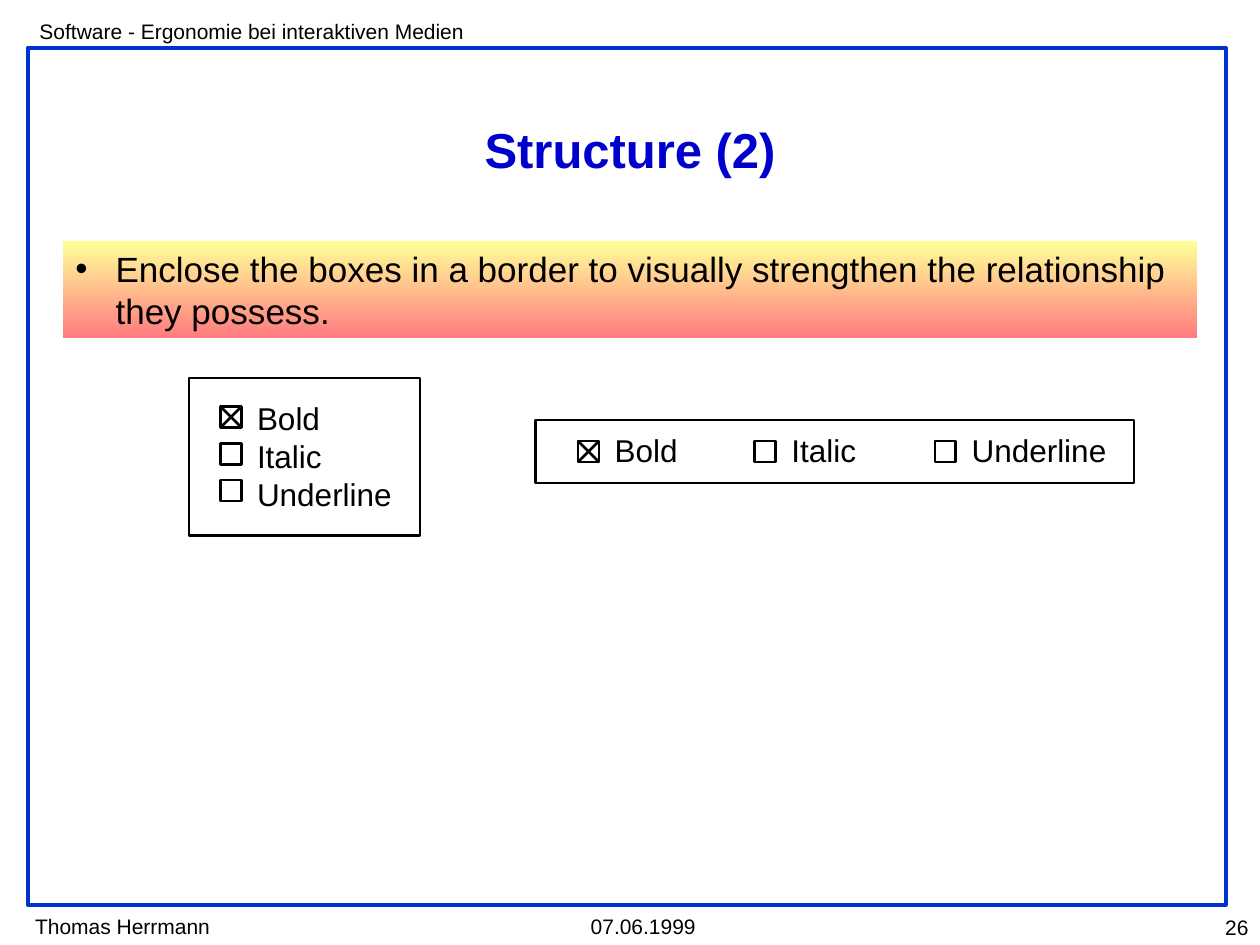
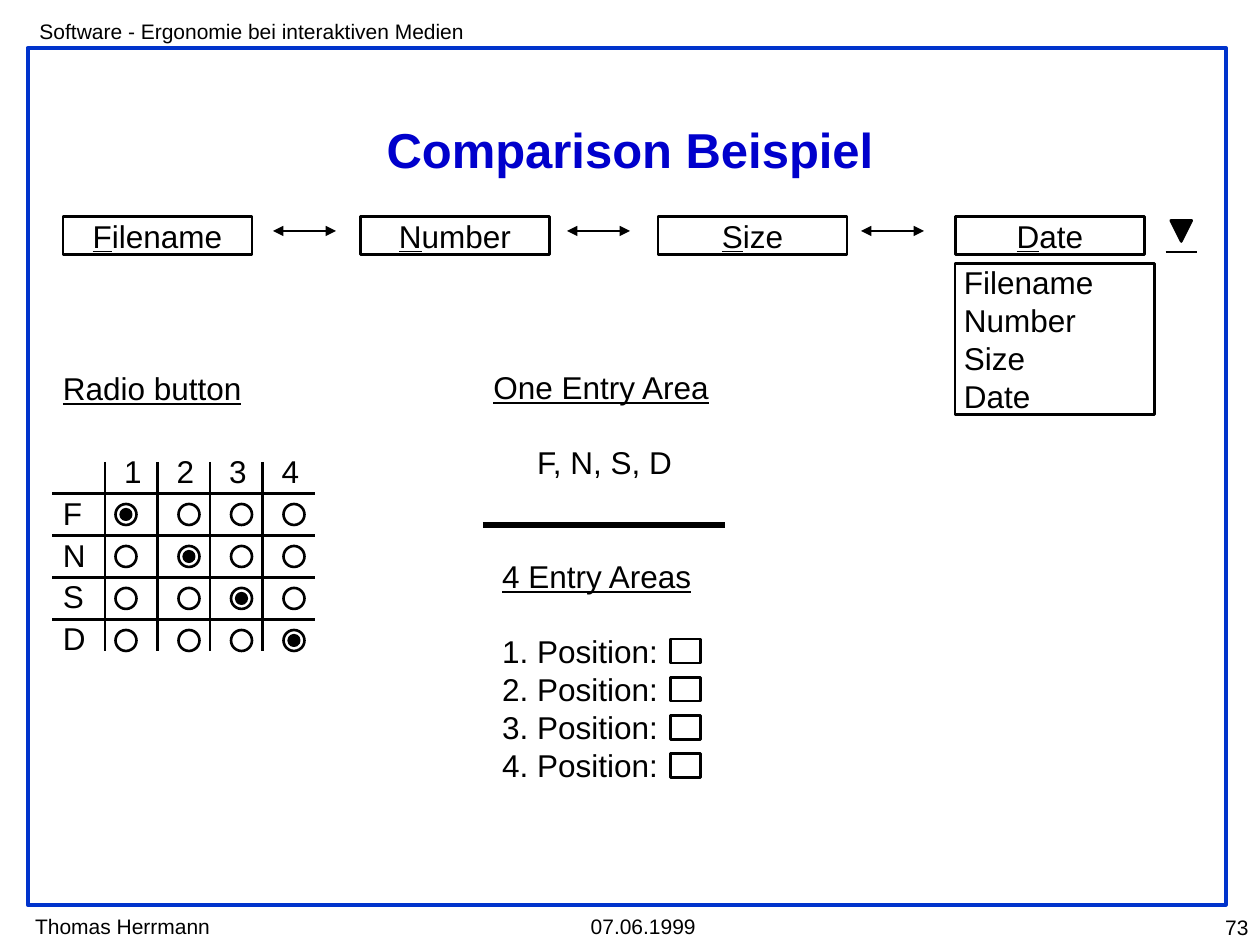
"""Builds two slides on form structure and comparison layouts."""
from dataclasses import dataclass
from typing import NamedTuple

from lxml.etree import SubElement
from pptx import Presentation
from pptx.dml.color import RGBColor
from pptx.enum.shapes import MSO_CONNECTOR as Link, MSO_SHAPE as Kind
from pptx.enum.text import MSO_ANCHOR as Anchor, MSO_AUTO_SIZE as Auto, PP_ALIGN as Align
from pptx.oxml.ns import qn
from pptx.util import Pt

FONT = "Arial"
BLACK, WHITE, FRAME, TITLE = "000000", "FFFFFF", "0033CC", "0000CC"
TOP, BASE = "FFFF99", "FF7C80"
SIDE = 12
LINE = 21.6
STYLES = ("Bold", "Italic", "Underline")
FIELDS = ("Filename", "Number", "Size", "Date")


class Box(NamedTuple):
    x: float
    y: float
    w: float
    h: float


@dataclass
class Para:
    text: str
    under: bool = False
    gap: float = 0
    left: float = 0
    tabs: tuple[float, ...] = ()


@dataclass
class Note:
    text: str
    box: Box
    align: Align = Align.LEFT


NOTES = (
    Note("Thomas Herrmann", Box(13, 518.4, 117, LINE)),
    Note("Software - Ergonomie bei interaktiven Medien", Box(15.5, 7.2, 268, LINE)),
    Note("07.06.1999", Box(330.5, 518.4, 77, LINE)),
)


def color(code: str) -> RGBColor:
    return RGBColor.from_string(code)


def place(shape, box: Box) -> None:
    shape.left, shape.top, shape.width, shape.height = map(Pt, box)


def style(run, size: float, code: str = BLACK, bold: bool = False, under: bool = False) -> None:
    font = run.font
    font.name, font.size, font.bold, font.underline = FONT, Pt(size), bold, under
    font.color.rgb = color(code)


def setup(shape, sides: float = 0, ends: float = 0, anchor: Anchor = Anchor.MIDDLE):
    frame = shape.text_frame
    frame.word_wrap, frame.auto_size = True, Auto.NONE
    frame.vertical_anchor = anchor
    frame.margin_left = frame.margin_right = Pt(sides)
    frame.margin_top = frame.margin_bottom = Pt(ends)
    return frame


def write(frame, paras: list[Para], size: float = 18, align: Align = Align.LEFT,
          pitch: float | None = None) -> None:
    for index, para in enumerate(paras):
        line = frame.add_paragraph() if index else frame.paragraphs[0]
        line.text, line.alignment = para.text, align
        if pitch:
            line.line_spacing = pitch
        if para.gap:
            line.space_before = Pt(para.gap)
        props = line._p.get_or_add_pPr()
        if para.left:
            props.set("marL", str(Pt(para.left)))
        if para.tabs:
            stops = SubElement(props, qn("a:tabLst"))
            for stop in para.tabs:
                SubElement(stops, qn("a:tab"), pos=str(Pt(stop)), algn="l")
        for run in line.runs:
            style(run, size, under=para.under)


def label(slide, box: Box, paras: list[Para], pitch: float | None = None) -> None:
    write(setup(slide.shapes.add_textbox(*map(Pt, box))), paras, pitch=pitch)


def draw(slide, box: Box, fill: str | None = WHITE, edge: str = BLACK,
         kind: Kind = Kind.RECTANGLE, width: float = 1.5):
    shape = slide.shapes.add_shape(kind, *map(Pt, box))
    shape.shadow.inherit = False
    if fill:
        shape.fill.solid()
        shape.fill.fore_color.rgb = color(fill)
    else:
        shape.fill.background()
    shape.line.color.rgb = color(edge)
    shape.line.width = Pt(width)
    return shape


def rule(slide, x: float, y: float, end: float, foot: float,
         width: float = 1.5, arrows: bool = False) -> None:
    link = slide.shapes.add_connector(Link.STRAIGHT, Pt(x), Pt(y), Pt(end), Pt(foot))
    link.line.color.rgb = color(BLACK)
    link.line.width = Pt(width)
    if arrows:
        for tip in ("a:headEnd", "a:tailEnd"):
            SubElement(link.line._get_or_add_ln(), qn(tip), type="triangle")
    SubElement(link._element.spPr, qn("a:effectLst"))


def check(slide, x: float, y: float, crossed: bool) -> None:
    draw(slide, Box(x, y, SIDE, SIDE))
    if crossed:
        rule(slide, x, y, x + SIDE, y + SIDE)
        rule(slide, x, y + SIDE, x + SIDE, y)


def start(deck, title: str, page: str):
    slide = deck.slides.add_slide(deck.slide_layouts[5])
    draw(slide, Box(15.8, 27.4, 684.7, 489.6), None, FRAME, width=2.25)
    for note in (*NOTES, Note(page, Box(651.6, 519, 69, LINE), Align.RIGHT)):
        area = slide.shapes.add_textbox(*map(Pt, note.box))
        write(setup(area, 7.2, 3.6, Anchor.TOP), [Para(note.text)], 12, note.align)
    head = slide.shapes.title
    place(head, Box(36, 64.8, 648, 40.3))
    frame = setup(head, 7.2, 3.6)
    frame.text = title
    frame.paragraphs[0].alignment = Align.CENTER
    style(frame.paragraphs[0].runs[0], 28, TITLE, bold=True)
    return slide


def advice(slide, text: str) -> None:
    band = draw(slide, Box(36, 138, 648, 55))
    band.line.fill.background()
    band.fill.gradient()
    band.fill.gradient_angle = 270
    for stop, code, spot in zip(band.fill.gradient_stops, (TOP, BASE), (0, 1)):
        stop.color.rgb, stop.position = color(code), spot
    frame = setup(band, 7.2, 3.6)
    write(frame, [Para(text, left=23)], 20)
    props = frame.paragraphs[0]._p.get_or_add_pPr()
    props.set("indent", str(Pt(-23)))
    tint = SubElement(props, qn("a:buClr"))
    SubElement(tint, qn("a:srgbClr"), val=BLACK)
    SubElement(props, qn("a:buFont"), typeface=FONT)
    SubElement(props, qn("a:buChar"), char="•")


def borders(deck) -> None:
    slide = start(deck, "Structure (2)", "26")
    draw(slide, Box(306, 240, 342, 36))
    draw(slide, Box(108, 216, 132, 90))
    advice(slide, "Enclose the boxes in a border to visually strengthen "
                  "the relationship they possess.")
    label(slide, Box(146.9, 228.2, 80, 3 * LINE), [Para(name) for name in STYLES])
    for row, (name, x) in enumerate(zip(STYLES, (330.3, 431.3, 534.2))):
        check(slide, 126, 232.3 + 21 * row, row == 0)
        check(slide, x, 252, row == 0)
        label(slide, Box(x + 21, 246.2, 80, LINE), [Para(name)])


def fields(slide) -> None:
    for index, name in enumerate(FIELDS):
        x = 36 + 170 * index
        cell = draw(slide, Box(x, 123.8, 108, LINE), None)
        line = setup(cell).paragraphs[0]
        line.alignment = Align.CENTER
        for part, under in ((name[0], True), (name[1:], False)):
            run = line.add_run()
            run.text = part
            style(run, 18, under=under)
        if index < 3:
            left = 156 + 168 * index
            rule(slide, left, 132, left + 36, 132, arrows=True)
    mark = draw(slide, Box(669, 126, SIDE, SIDE), BLACK, kind=Kind.ISOSCELES_TRIANGLE)
    mark.rotation = 180
    rule(slide, 666, 144, 684, 144)
    menu = draw(slide, Box(545.8, 150.5, 114, 4 * LINE))
    write(setup(menu, 5), [Para(name) for name in FIELDS])


def radios(slide) -> None:
    tabs = tuple(35 + 30 * col for col in range(4))
    paras = [Para("Radio button", True), Para("\t1\t2\t3\t4", gap=1.1 * LINE, tabs=tabs)]
    label(slide, Box(36, 208.8, 138, 166.3),
          paras + [Para(name[0]) for name in FIELDS], 1.1)
    for index in range(4):
        y, x = 282 + 24 * index, 60 + 30 * index
        rule(slide, 30, y, 180, y)
        rule(slide, x, 264, x, 372)
    for row in range(4):
        for col, x in enumerate((66, 102, 132, 162)):
            y = 288 + 24 * row
            draw(slide, Box(x, y, SIDE, SIDE), kind=Kind.OVAL)
            if row == col:
                draw(slide, Box(x + 3, y + 3, 6, 6), BLACK, kind=Kind.OVAL)


def entries(slide) -> None:
    paras = [Para("One Entry Area", True), Para("F, N, S, D", gap=LINE, left=25),
             Para("4 Entry Areas", True, 2 * LINE, 5)]
    paras += [Para(f"{num}. Position:", gap=LINE if num == 1 else 0, left=5)
              for num in range(1, 5)]
    label(slide, Box(282, 210.2, 126, 11 * LINE), paras)
    rule(slide, 276, 300, 414, 300, 3)
    for row in range(4):
        draw(slide, Box(383, 365.2 + 21.8 * row, 17.5, 13.7))


def compare(deck) -> None:
    slide = start(deck, "Comparison Beispiel", "73")
    fields(slide)
    radios(slide)
    entries(slide)


def main() -> None:
    deck = Presentation()
    deck.slide_width, deck.slide_height = Pt(720), Pt(540)
    borders(deck)
    compare(deck)
    deck.save("out.pptx")


if __name__ == "__main__":
    main()
